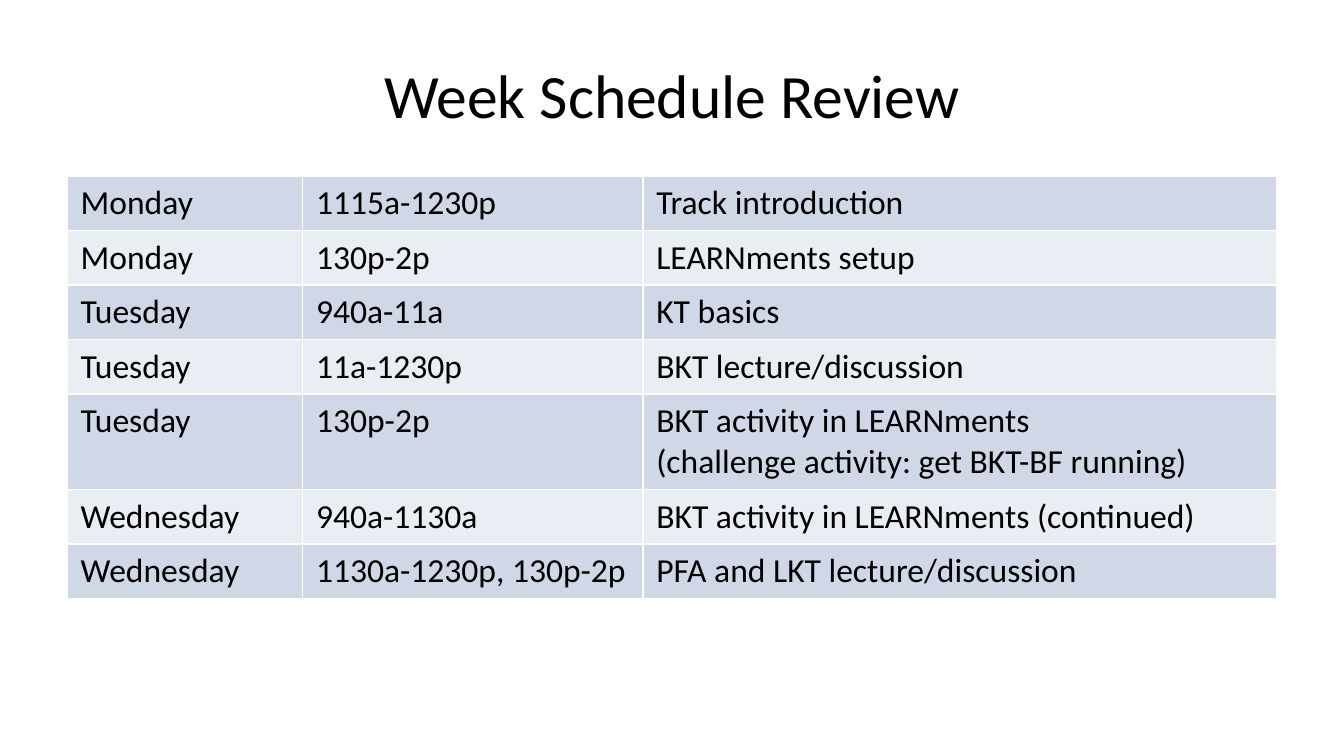
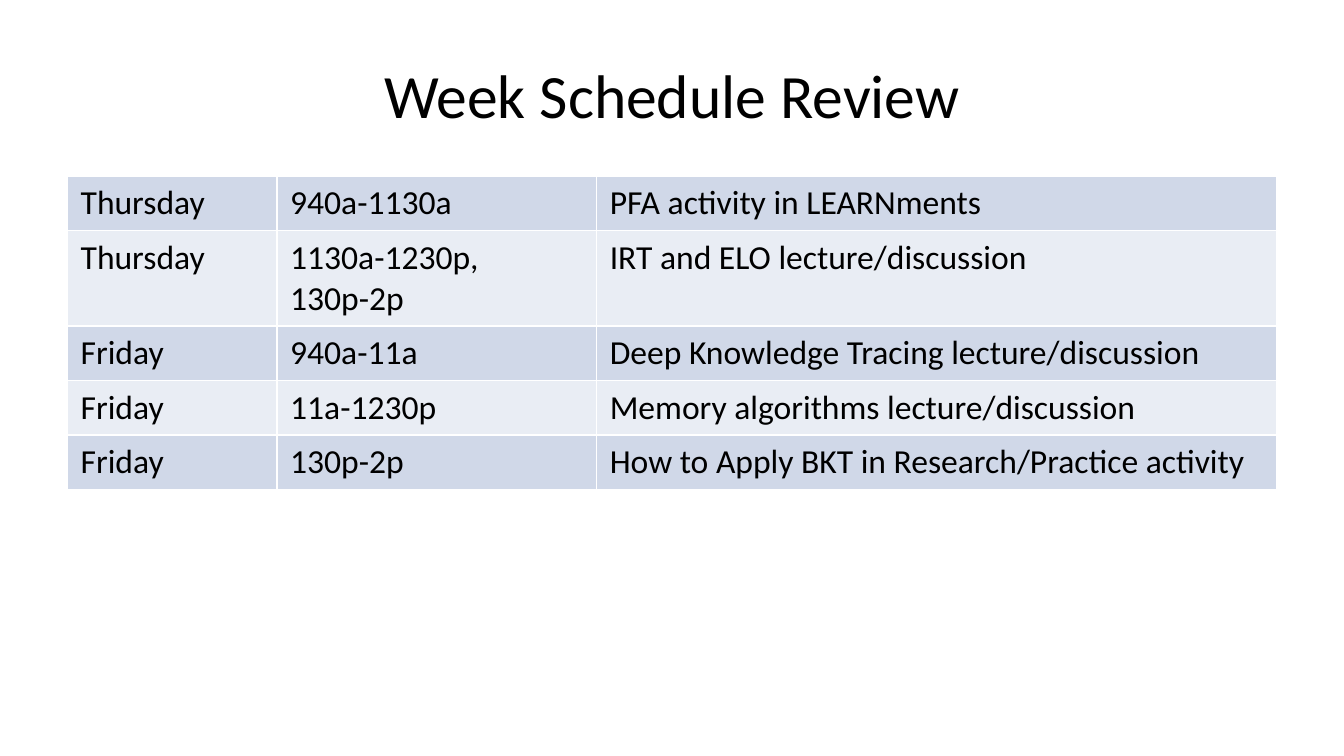
from lxml import etree
from pptx import Presentation
from pptx.dml.color import RGBColor
from pptx.enum import text
from pptx.oxml import ns
from pptx.util import Cm, Pt

BLACK = RGBColor(0x00, 0x00, 0x00)
WHITE = RGBColor(0xFF, 0xFF, 0xFF)
BANDS = [RGBColor(0xD0, 0xD8, 0xE8), RGBColor(0xE9, 0xED, 0xF4)]

FONT = "Calibri"
LEFT, WIDTH = Cm(1.27), Cm(22.86)
LINE_HEIGHT, ROW_PADDING = 0.77, 0.26

# Column widths in cm, then rows of day, time and session
WEEK = [
    ([4.45, 6.43, 11.98], [
        ("Monday", "1115a-1230p", "Track introduction"),
        ("Monday", "130p-2p", "LEARNments setup"),
        ("Tuesday", "940a-11a", "KT basics"),
        ("Tuesday", "11a-1230p", "BKT lecture/discussion"),
        ("Tuesday", "130p-2p",
         "BKT activity in LEARNments\v(challenge activity: get BKT-BF running)"),
        ("Wednesday", "940a-1130a", "BKT activity in LEARNments (continued)"),
        ("Wednesday", "1130a-1230p, 130p-2p", "PFA and LKT lecture/discussion"),
    ]),
    ([3.96, 6.04, 12.86], [
        ("Thursday", "940a-1130a", "PFA activity in LEARNments"),
        ("Thursday", "1130a-1230p, 130p-2p", "IRT and ELO lecture/discussion"),
        ("Friday", "940a-11a", "Deep Knowledge Tracing lecture/discussion"),
        ("Friday", "11a-1230p", "Memory algorithms lecture/discussion"),
        ("Friday", "130p-2p", "How to Apply BKT in Research/Practice activity"),
    ]),
]


def write(tf, content, size=18, color=BLACK, align=None):
    p = tf.paragraphs[0]
    p.text = content
    p.alignment = align
    for r in p.runs:
        r.font.name = FONT
        r.font.size = Pt(size)
        r.font.color.rgb = color


def add_borders(cell, color=WHITE, width=Pt(1)):
    tcPr = cell._tc.get_or_add_tcPr()
    for side in ("a:lnL", "a:lnR", "a:lnT", "a:lnB"):
        ln = etree.SubElement(tcPr, ns.qn(side), w=str(width))
        fill = etree.SubElement(ln, ns.qn("a:solidFill"))
        etree.SubElement(fill, ns.qn("a:srgbClr"), val=str(color))


prs = Presentation()
prs.slide_width, prs.slide_height = Cm(25.4), Cm(14.29)

for widths, sessions in WEEK:
    s = prs.slides.add_slide(prs.slide_layouts[5])

    title = s.shapes.title
    title.left, title.top, title.width, title.height = LEFT, Cm(0.58), WIDTH, Cm(2.38)
    title.text_frame.auto_size = text.MSO_AUTO_SIZE.NONE
    title.text_frame.vertical_anchor = text.MSO_ANCHOR.MIDDLE
    write(title.text_frame, "Week Schedule Review", size=33, align=text.PP_ALIGN.CENTER)

    row_height = Cm(LINE_HEIGHT + ROW_PADDING)
    schedule = s.shapes.add_table(len(sessions), len(widths), LEFT, Cm(3.33),
                                  WIDTH, row_height * len(sessions)).table
    schedule.first_row = False
    for column, width in zip(schedule.columns, widths):
        column.width = Cm(width)

    for i, session in enumerate(sessions):
        # Rows with a second line of text grow to fit it
        schedule.rows[i].height = row_height
        for j, entry in enumerate(session):
            cell = schedule.cell(i, j)
            add_borders(cell)
            cell.fill.solid()
            cell.fill.fore_color.rgb = BANDS[i % 2]
            write(cell.text_frame, entry)

prs.save("out.pptx")
